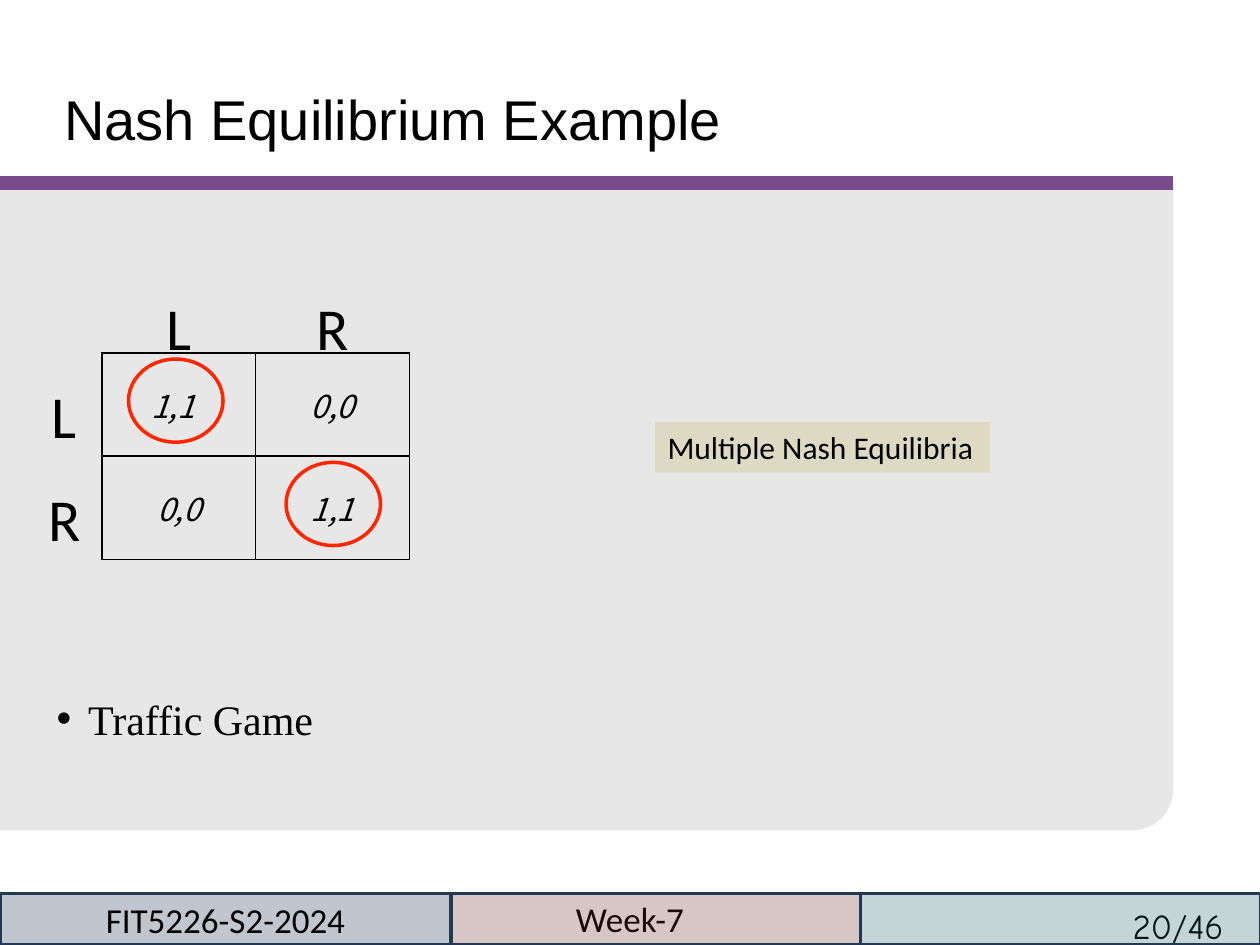
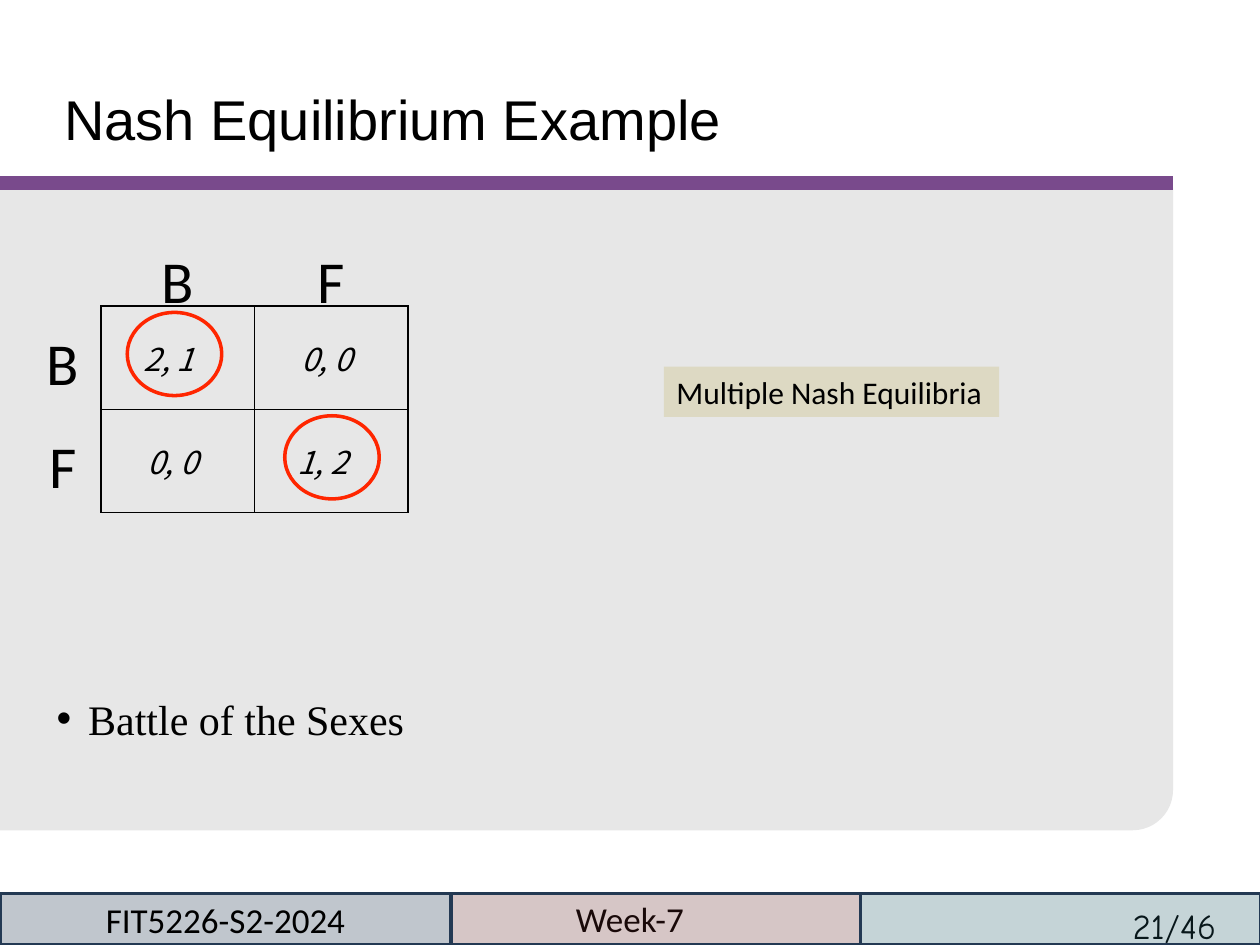
from dataclasses import dataclass

from lxml import etree
from pptx import Presentation
from pptx.dml.color import RGBColor
from pptx.enum.shapes import MSO_CONNECTOR as CONN, MSO_SHAPE as SHAPE
from pptx.enum.text import MSO_ANCHOR as ANCHOR, MSO_AUTO_SIZE as AUTO, PP_ALIGN as ALIGN
from pptx.oxml.ns import qn
from pptx.util import Inches, Pt


@dataclass(frozen=True)
class Theme:
    ink: str = "000000"
    panel: str = "E7E7E7"
    rule: str = "794A8C"
    ring: str = "FF2600"
    callout: str = "DDD9C3"
    bar_line: str = "233953"
    bars: tuple = ("0F243E", "632523", "215968")
    title_font: str = "Arial"
    list_font: str = "Times New Roman"
    label_font: str = "Calibri"
    payoff_font: str = "Noto Sans CJK JP"
    page_font: str = "Comic Neue"
    title_size: int = 32
    list_size: int = 24
    label_size: int = 34
    footer_size: int = 20
    small_size: int = 18


T = Theme()
CELL_W, CELL_H = 1.22, 0.82
BAR_TOP, BAR_H = 7.09, 0.41
BAR_WIDTHS = (3.58, 3.25, 3.18)
PAGES = 46

GAMES = [
    dict(page=20, name="Traffic Game", moves="LR", at=(0.81, 2.8), label_rise=0.05,
         payoffs=[[("1,1", 0.39), ("0,0", None)], [("0,0", None), ("1,1", None)]],
         callout=(5.2, 3.35)),
    dict(page=21, name="Battle of the Sexes", moves="BF", at=(0.8, 2.43), label_rise=0.1,
         payoffs=[[("2, 1", 0.34), ("0, 0", 0.37)], [("0, 0", 0.37), ("1, 2", 0.34)]],
         callout=(5.27, 2.91)),
]


def rgb(code):
    return RGBColor.from_string(code)


def box(*lengths):
    return [Inches(v) for v in lengths]


def place(sp, left, top, width, height):
    sp.left, sp.top, sp.width, sp.height = box(left, top, width, height)


def frame(tf, insets=(0, 0, 0, 0), anchor=ANCHOR.TOP):
    tf.word_wrap = True
    tf.auto_size = AUTO.NONE
    tf.vertical_anchor = anchor
    tf.margin_left, tf.margin_top, tf.margin_right, tf.margin_bottom = box(*insets)


def add_run(p, text, font, size, align=ALIGN.LEFT, italic=False):
    p.alignment = align
    p.space_before = Pt(0)
    r = p.add_run()
    r.text = text
    r.font.name, r.font.size, r.font.italic = font, Pt(size), italic
    r.font.color.rgb = rgb(T.ink)


def indent(p, left, first=0):
    pPr = p._p.get_or_add_pPr()
    pPr.set("marL", str(Inches(left)))
    pPr.set("indent", str(Inches(first)))
    return pPr


def add_text(s, at, text, font, size, insets=(0, 0, 0, 0), align=ALIGN.LEFT):
    tf = s.shapes.add_textbox(*box(*at)).text_frame
    frame(tf, insets)
    add_run(tf.paragraphs[0], text, font, size, align)


def add_preset(s, kind, at, fill=None, line=None, alpha=None):
    sp = s.shapes.add_shape(kind, *box(*at))
    sp.shadow.inherit = False
    if fill:
        sp.fill.solid()
        sp.fill.fore_color.rgb = rgb(fill)
    else:
        sp.fill.background()
    if alpha:
        color = sp._element.spPr.find(qn("a:solidFill"))[0]
        etree.SubElement(color, qn("a:alpha")).set("val", str(alpha * 1000))
    if line:
        sp.line.color.rgb = rgb(line)
        sp.line.width = Pt(2)
    else:
        sp.line.fill.background()
    return sp


def move_panel_to_layout(s):
    height = 5.1
    sp = add_preset(s, SHAPE.ROUND_1_RECTANGLE, (0, 1.49, 9.31, height), T.panel)
    sp.adjustments[0] = 0.32 / height
    sp._element.spPr.find(qn("a:xfrm")).set("flipV", "1")
    s.slide_layout.shapes._spTree.insert(2, sp._element)


def add_rule(s):
    c = s.shapes.add_connector(CONN.STRAIGHT, *box(0, 1.45, 9.31, 1.45))
    c.line.color.rgb = rgb(T.rule)
    c.line.width = Pt(8)
    etree.SubElement(c._element.spPr, qn("a:effectLst"))


def fill_title(s, text):
    sp = s.shapes.title
    place(sp, 0.5, 0.63, 8.99, 0.47)
    frame(sp.text_frame, (0.01, 0.04, 0, 0))
    add_run(sp.text_frame.paragraphs[0], text, T.title_font, T.title_size)


def fill_list(s, text):
    sp = s.placeholders[1]
    place(sp, 0.44, 5.47, 2.8, 0.36)
    frame(sp.text_frame, (0, 0.03, 0, 0))
    p = sp.text_frame.paragraphs[0]
    add_run(p, text, T.list_font, T.list_size)
    etree.SubElement(indent(p, 0.26, -0.25), qn("a:buChar")).set("char", "•")


def border(cell):
    tcPr = cell._tc.get_or_add_tcPr()
    for side in ("lnL", "lnR", "lnT", "lnB"):
        ln = etree.SubElement(tcPr, qn(f"a:{side}"), w=str(Pt(1)))
        fill = etree.SubElement(ln, qn("a:solidFill"))
        etree.SubElement(fill, qn("a:srgbClr"), val=T.ink)


def add_payoffs(s, left, top, payoffs):
    table = s.shapes.add_table(2, 2, *box(left, top, 2 * CELL_W, 2 * CELL_H)).table
    table.first_row = table.horz_banding = False
    for i, row in enumerate(payoffs):
        table.columns[i].width, table.rows[i].height = box(CELL_W, CELL_H)
        for j, (text, start) in enumerate(row):
            cell = table.cell(i, j)
            border(cell)
            cell.fill.solid()
            cell.fill.fore_color.rgb = rgb(T.panel)
            cell.vertical_anchor = ANCHOR.MIDDLE
            cell.margin_left = cell.margin_right = cell.margin_top = cell.margin_bottom = 0
            p = cell.text_frame.paragraphs[0]
            add_run(p, text, T.payoff_font, T.small_size,
                    ALIGN.LEFT if start else ALIGN.CENTER, italic=True)
            if start:
                indent(p, start)


def add_move_labels(s, left, top, moves, rise):
    for i, move in enumerate(moves):
        center = left + (i + 0.5) * CELL_W
        add_text(s, (center - 0.2, top - 0.51, 0.4, 0.5), move, T.label_font,
                 T.label_size, (0, 0.02, 0, 0), ALIGN.CENTER)
    tf = s.shapes.add_textbox(*box(left - 0.5, top - rise, 0.4, 1.67)).text_frame
    frame(tf)
    for i, move in enumerate(moves):
        p = tf.add_paragraph() if i else tf.paragraphs[0]
        p.line_spacing = 1.45
        add_run(p, move, T.label_font, T.label_size, ALIGN.CENTER)


def add_rings(s, left, top):
    for i in range(2):
        add_preset(s, SHAPE.OVAL, (left + 0.21 + 1.25 * i, top + 0.05 + CELL_H * i, 0.75, 0.66),
                   line=T.ring)


def add_callout(s, left, top, text):
    tf = add_preset(s, SHAPE.RECTANGLE, (left, top, 2.66, 0.4), T.callout).text_frame
    frame(tf, (0.1, 0.05, 0.02, 0.05))
    add_run(tf.paragraphs[0], text, T.label_font, T.small_size)


def add_footer(s, page):
    add_text(s, (8.89, 7.13, 1.22, 0.45), f"{page}/{PAGES}", T.page_font, T.footer_size,
             (0.1, 0.05, 0.1, 0.05))
    add_text(s, (3.4, 7.12, 3.2, 0.34), "Week-7", T.label_font, T.footer_size,
             align=ALIGN.CENTER)
    bars = []
    for i, (color, width) in enumerate(zip(T.bars, BAR_WIDTHS)):
        at = (sum(BAR_WIDTHS[:i]), BAR_TOP, width, BAR_H)
        bars.append(add_preset(s, SHAPE.RECTANGLE, at, color, T.bar_line, alpha=26))
    tf = bars[0].text_frame
    frame(tf, (0.1, 0.05, 0.1, 0.05), ANCHOR.MIDDLE)
    add_run(tf.paragraphs[0], "FIT5226-S2-2024", T.label_font, T.footer_size, ALIGN.CENTER)


def add_game(prs, game):
    s = prs.slides.add_slide(prs.slide_layouts[1])
    add_rule(s)
    fill_title(s, "Nash Equilibrium Example")
    fill_list(s, game["name"])
    add_move_labels(s, *game["at"], game["moves"], game["label_rise"])
    add_payoffs(s, *game["at"], game["payoffs"])
    add_rings(s, *game["at"])
    add_footer(s, game["page"])
    add_callout(s, *game["callout"], "Multiple Nash Equilibria")
    return s


def main():
    prs = Presentation()
    prs.slide_width, prs.slide_height = box(10, 7.5)
    slides = [add_game(prs, game) for game in GAMES]
    move_panel_to_layout(slides[0])
    prs.save("out.pptx")


if __name__ == "__main__":
    main()
